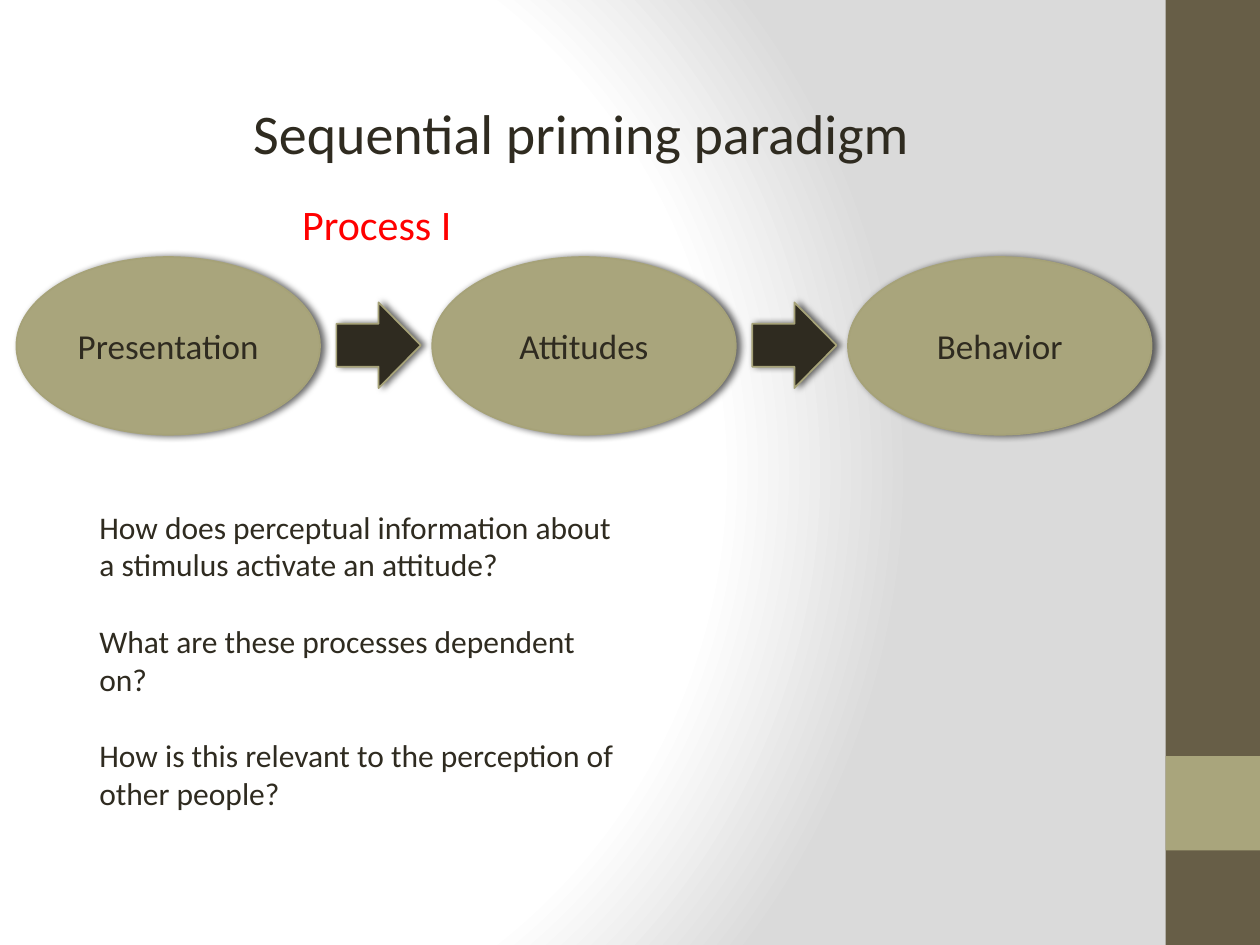
"""Build the sequential priming paradigm slide."""
import pptx
import pptx.dml.color
import pptx.enum.shapes
import pptx.enum.text
import pptx.oxml
import pptx.util

Inches, Pt = pptx.util.Inches, pptx.util.Pt
Kind = pptx.enum.shapes.MSO_SHAPE
Align = pptx.enum.text.PP_ALIGN
Anchor = pptx.enum.text.MSO_ANCHOR
NS = 'xmlns:a="http://schemas.openxmlformats.org/drawingml/2006/main"'

TITLE = "Sequential priming paradigm"
LABEL = "Process I"
STAGES = ["Presentation", "Attitudes", "Behavior"]
ASKS = [
    "How does perceptual information about a stimulus activate an attitude?",
    "What are these processes dependent on?",
    "How is this relevant to the perception of other people?",
]
DARK, SAND, EDGE, BROWN, RED = "2F2B20", "A9A57C", "A6A278", "675E47", "FF0000"
STOPS = [(0, "FFFFFF"), (75, "FFFFFF"), (100, "DADADA")]
BARS = [(0, 7.5, BROWN), (6, 0.75, SAND)]
LEFT, STEP = 0.13, 3.3


def paint(color, tone):
    color.rgb = pptx.dml.color.RGBColor.from_string(tone)


def write(shape, lines, size, tone=DARK, align=Align.LEFT, anchor=Anchor.TOP, wrap=True, gap=0):
    frame = shape.text_frame
    frame.text = "\n".join(lines)
    frame.word_wrap = wrap
    frame.vertical_anchor = anchor
    frame.auto_size = pptx.enum.text.MSO_AUTO_SIZE.NONE
    for i, para in enumerate(frame.paragraphs):
        para.alignment = align
        para.space_before = Pt(gap if i else 0)
        for run in para.runs:
            run.font.name, run.font.size = "Calibri", Pt(size)
            paint(run.font.color, tone)


def draw(slide, kind, box, tone):
    shape = slide.shapes.add_shape(kind, *map(Inches, box))
    shape.shadow.inherit = False
    shape.fill.solid()
    paint(shape.fill.fore_color, tone)
    shape.line.fill.background()
    return shape


def raise_up(shape):
    paint(shape.line.color, EDGE)
    shape.line.width = Pt(1)
    effects = shape.element.spPr.find(pptx.oxml.ns.qn("a:effectLst"))
    effects.append(pptx.oxml.parse_xml(
        f'<a:outerShdw {NS} blurRad="{Pt(4)}" dist="{Pt(2)}" dir="0" rotWithShape="0">'
        '<a:srgbClr val="000000"><a:alpha val="60000"/></a:srgbClr></a:outerShdw>'))


def shade(slide):
    slide.background.fill.gradient()
    old = slide.element.find(".//" + pptx.oxml.ns.qn("a:gradFill"))
    stops = "".join(f'<a:gs pos="{pos * 1000}"><a:srgbClr val="{tone}"/></a:gs>' for pos, tone in STOPS)
    old.getparent().replace(old, pptx.oxml.parse_xml(
        f'<a:gradFill {NS} rotWithShape="1"><a:gsLst>{stops}</a:gsLst><a:path path="circle">'
        '<a:fillToRect l="20000" t="50000" r="100000" b="50000"/></a:path></a:gradFill>'))


def main():
    deck = pptx.Presentation()
    deck.slide_width, deck.slide_height = Inches(10), Inches(7.5)
    slide = deck.slides.add_slide(deck.slide_layouts[5])
    shade(slide)
    for top, high, tone in BARS:
        draw(slide, Kind.RECTANGLE, (9.25, top, 0.75, high), tone)

    for i, stage in enumerate(STAGES):
        left = LEFT + i * STEP
        oval = draw(slide, Kind.OVAL, (left, 2.04, 2.41, 1.41), SAND)
        raise_up(oval)
        write(oval, [stage], 20, align=Align.CENTER, anchor=Anchor.MIDDLE)
        if i < len(STAGES) - 1:
            raise_up(draw(slide, Kind.RIGHT_ARROW, (left + 2.54, 2.4, 0.67, 0.68), DARK))

    title = slide.shapes.title
    title.left, title.top, title.width, title.height = map(Inches, (1.91, 0.73, 5.47, 0.64))
    write(title, [TITLE], 32, wrap=False)
    body = slide.shapes.add_textbox(*map(Inches, (0.69, 3.98, 4.39, 2.52)))
    write(body, ASKS, 18, gap=22)
    label = slide.shapes.add_textbox(*map(Inches, (2.3, 1.53, 1.4, 0.5)))
    write(label, [LABEL], 24, RED, wrap=False)
    deck.save("out.pptx")


if __name__ == "__main__":
    main()
